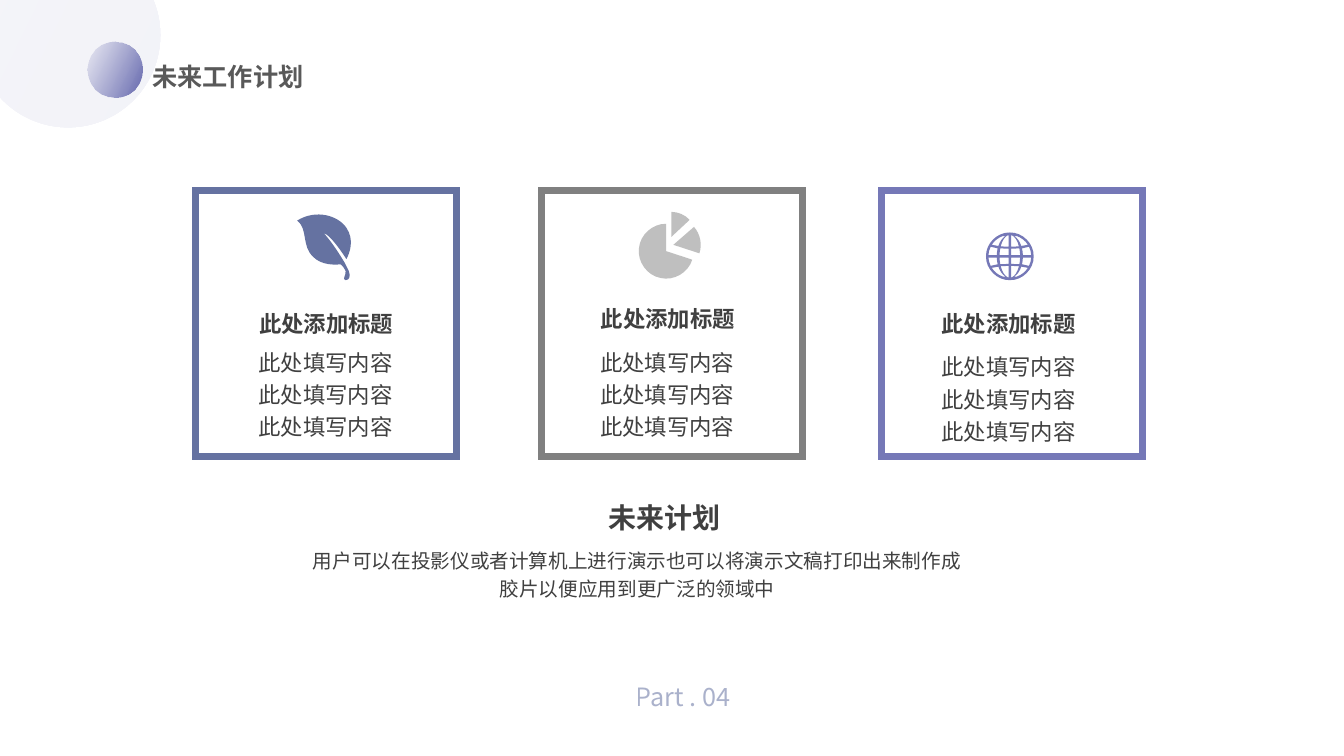
import math
from dataclasses import dataclass

import pptx
import pptx.dml.color
import pptx.enum.shapes
import pptx.enum.text
import pptx.oxml
import pptx.oxml.ns
import pptx.util
from pptx.util import Cm

ALIGN = pptx.enum.text.PP_ALIGN
qn = pptx.oxml.ns.qn


@dataclass(frozen=True)
class Theme:
    font: str = "Noto Sans CJK SC"
    slate: str = "6572A1"
    violet: str = "7578B7"
    deep_violet: str = "6366AD"
    gray: str = "808080"
    light_gray: str = "BFBFBF"
    text: str = "404040"
    heading: str = "595959"
    heading_size: int = 18
    card_size: int = 16
    plan_size: int = 20
    note_size: int = 14
    frame_width: int = 5


THEME = Theme()

# Leaf outline in cm from its top left corner: a start, then three points per curve
LEAF = [
    (1.19, 1.35),
    (1.19, 1.35), (1.24, 1.45), (1.30, 1.57),
    (1.35, 1.70), (1.32, 1.80), (1.22, 1.80),
    (1.12, 1.78), (1.24, 1.68), (1.22, 1.57),
    (1.17, 1.45), (1.09, 1.40), (1.09, 1.40),
    (0.94, 1.42), (0.61, 1.42), (0.41, 1.22),
    (0.10, 0.94), (0.28, 0.51), (0.00, 0.30),
    (0.48, 0.00), (1.04, 0.18), (1.24, 0.48),
    (1.45, 0.79), (1.32, 1.12), (1.24, 1.27),
    (1.24, 1.27), (0.86, 0.66), (0.66, 0.61),
    (0.89, 0.84), (1.19, 1.35), (1.19, 1.35),
]


def rgb(value):
    return pptx.dml.color.RGBColor.from_string(value)


def apply(target, values):
    for name, value in values.items():
        setattr(target, name, value)


def set_alpha(color_element, percent):
    color_element.append(color_element.makeelement(qn("a:alpha"), {"val": str(percent * 1000)}))


# Text
def add_text(shapes, box, lines, size, color, bold=False, align=ALIGN.LEFT,
             spacing=1.0, wrap=True, grow=True, middle=False, alpha=None):
    frame = shapes.add_textbox(*map(Cm, box)).text_frame
    sizing, anchor = pptx.enum.text.MSO_AUTO_SIZE, pptx.enum.text.MSO_ANCHOR
    apply(frame, {
        "word_wrap": wrap,
        "auto_size": sizing.SHAPE_TO_FIT_TEXT if grow else sizing.NONE,
        "vertical_anchor": anchor.MIDDLE if middle else anchor.TOP,
    })
    for index, line in enumerate(lines):
        paragraph = frame.paragraphs[0] if index == 0 else frame.add_paragraph()
        apply(paragraph, {"alignment": align, "line_spacing": spacing})
        run = paragraph.add_run()
        run.text = line
        apply(run.font, {"name": THEME.font, "size": pptx.util.Pt(size), "bold": bold})
        run.font.color.rgb = rgb(color)
        east_asian = run.font._element.makeelement(qn("a:ea"), {"typeface": THEME.font})
        run.font._element.find(qn("a:latin")).addnext(east_asian)
        if alpha is not None:
            set_alpha(next(run.font._element.iter(qn("a:srgbClr"))), alpha)


# Shapes
def add_gradient_disc(shapes, left, top, diameter, alphas):
    disc = shapes.add_shape(pptx.enum.shapes.MSO_SHAPE.OVAL,
                            *map(Cm, (left, top, diameter, diameter)))
    disc.shadow.inherit = False
    disc.line.fill.background()
    disc.fill.gradient()
    disc.fill.gradient_angle = 334
    for stop, color in zip(disc.fill.gradient_stops, (THEME.violet, THEME.deep_violet)):
        stop.color.rgb = rgb(color)
    for element, alpha in zip(disc.element.spPr.iter(qn("a:srgbClr")), alphas):
        set_alpha(element, alpha)


def add_frame(shapes, left, top, color):
    frame = shapes.add_shape(pptx.enum.shapes.MSO_SHAPE.RECTANGLE,
                             *map(Cm, (left, top, 6.58, 6.71)))
    frame.shadow.inherit = False
    frame.fill.background()
    frame.line.color.rgb = rgb(color)
    frame.line.width = pptx.util.Pt(THEME.frame_width)
    outline = frame.element.spPr.find(qn("a:ln"))
    outline.append(outline.makeelement(qn("a:miter"), {"lim": "800000"}))


def add_icon(shapes, contours, color):
    contours = [[(Cm(x), Cm(y)) for x, y in contour] for contour in contours]
    builder = shapes.build_freeform(*contours[0][0])
    for index, contour in enumerate(contours):
        if index:
            builder.move_to(*contour[0])
        builder.add_line_segments(contour[1:], close=True)
    icon = builder.convert_to_shape()
    icon.shadow.inherit = False
    icon.line.fill.background()
    icon.fill.solid()
    icon.fill.fore_color.rgb = rgb(color)

    # Every three points become one cubic curve
    segments = list(icon.element.spPr.iter(qn("a:lnTo")))
    for triple in zip(*[iter(segments)] * 3):
        cubic = triple[0].makeelement(qn("a:cubicBezTo"), {})
        triple[0].addprevious(cubic)
        for segment in triple:
            cubic.append(segment[0])
            segment.getparent().remove(segment)


# Icon outlines
def curve(point_at):
    """Three cubic points that follow point_at from 0 to 1."""
    start, early, late, end = (point_at(i / 3) for i in range(4))
    samples = list(zip(start, early, late, end))
    return [tuple((-5 * a + 18 * b - 9 * c + 2 * d) / 6 for a, b, c, d in samples),
            tuple((2 * a - 9 * b + 18 * c - 5 * d) / 6 for a, b, c, d in samples),
            end]


def straight(start, end):
    return [start, end, end]


def arc(x, y, radius, start, end):
    def point(degrees):
        angle = math.radians(degrees)
        return x + radius * math.cos(angle), y + radius * math.sin(angle)

    count = math.ceil((end - start) / 90)
    step = (end - start) / count
    points = [point(start)]
    for i in range(count):
        points += curve(lambda t: point(start + (i + t) * step))
    return points


def leaf_contours(left, top):
    return [[(left + x, top + y) for x, y in LEAF]]


def pie_contours():
    contours = []
    for x, y, radius, start, end in ((16.79, 6.33, 0.69, 18, 270),
                                     (16.97, 6.17, 0.69, -41, 18),
                                     (16.92, 5.97, 0.63, -90, -43)):
        rim = arc(x, y, radius, start, end)
        contours.append([(x, y)] + straight((x, y), rim[0]) + rim[1:]
                        + straight(rim[-1], (x, y)))
    return contours


def globe_contours(x, y, radius=0.6, inner=0.54):
    def meridian(u, near, far):
        low, high = math.asin(near / inner), math.asin(far / inner)

        def point(t):
            angle = low + (high - low) * t
            return max(0.03, u * inner * math.cos(angle)), inner * math.sin(angle)
        return point

    contours = [arc(x, y, radius, 0, 360)]
    # Each cell: west and east share of the radius, then the height of its four corners
    for west, east, near_west, near_east, far_west, far_east in (
            (0, 0.48, 0.03, 0.03, 0.19, 0.2), (0.61, 1, 0.03, 0.03, 0.2, 0.24),
            (0, 0.48, 0.24, 0.25, 0.53, 0.53), (0.61, 1, 0.26, 0.29, 0.51, 0.51)):
        left, right = meridian(west, near_west, far_west), meridian(east, near_east, far_east)
        cell = ([left(0)] + curve(left) + straight(left(1), right(1))
                + curve(lambda t: right(1 - t)) + straight(right(0), left(0)))
        contours += [[(x + sx * dx, y + sy * dy) for dx, dy in cell]
                     for sx in (-1, 1) for sy in (-1, 1)]
    return contours


def add_card(shapes, frame, title, body, frame_color, icon, icon_color):
    add_frame(shapes, *frame, frame_color)
    add_icon(shapes, icon, icon_color)
    add_text(shapes, (*title, 3.94, 0.86), ["此处添加标题"], THEME.card_size, THEME.text,
             bold=True, align=ALIGN.CENTER, spacing=0.9, wrap=False)
    add_text(shapes, (*body, 5.31, 2.72), ["此处填写内容"] * 3, THEME.card_size,
             THEME.text, spacing=1.2)


def main():
    deck = pptx.Presentation()
    apply(deck, {"slide_width": Cm(33.87), "slide_height": Cm(19.05)})
    shapes = deck.slides.add_slide(deck.slide_layouts[6]).shapes

    # Heading
    add_gradient_disc(shapes, -0.61, -1.44, 4.65, (8, 8))
    add_gradient_disc(shapes, 2.2, 1.05, 1.4, (8, 100))
    add_text(shapes, (3.59, 1.42, 6.99, 1.02), ["未来工作计划"], THEME.heading_size,
             THEME.heading, bold=True, align=ALIGN.JUSTIFY)

    # Cards
    add_card(shapes, (4.93, 4.8), (6.25, 7.78), (6.27, 8.53),
             THEME.slate, leaf_contours(7.49, 5.26), THEME.slate)
    add_card(shapes, (13.64, 4.8), (14.86, 7.65), (14.88, 8.53),
             THEME.gray, pie_contours(), THEME.light_gray)
    add_card(shapes, (22.22, 4.79), (23.45, 7.77), (23.48, 8.65),
             THEME.violet, globe_contours(25.45, 6.46), THEME.violet)

    # Plan summary
    summary = shapes.add_group_shape().shapes
    add_text(summary, (7.46, 13.59, 17.2, 1.7),
             ["用户可以在投影仪或者计算机上进行演示也可以将演示文稿打印出来制作成胶片以便应用到更广泛的领域中"],
             THEME.note_size, THEME.text, align=ALIGN.CENTER, spacing=1.2)
    add_text(summary, (13.64, 12.32, 6.22, 1.19), ["未来计划"], THEME.plan_size,
             THEME.text, bold=True, align=ALIGN.CENTER, spacing=1.2)

    # Part number
    add_text(shapes, (15.77, 16.89, 3.76, 1.3), ["Part . 04"], THEME.heading_size,
             THEME.slate, align=ALIGN.JUSTIFY, grow=False, middle=True, alpha=54)

    deck.save("out.pptx")


if __name__ == "__main__":
    main()
